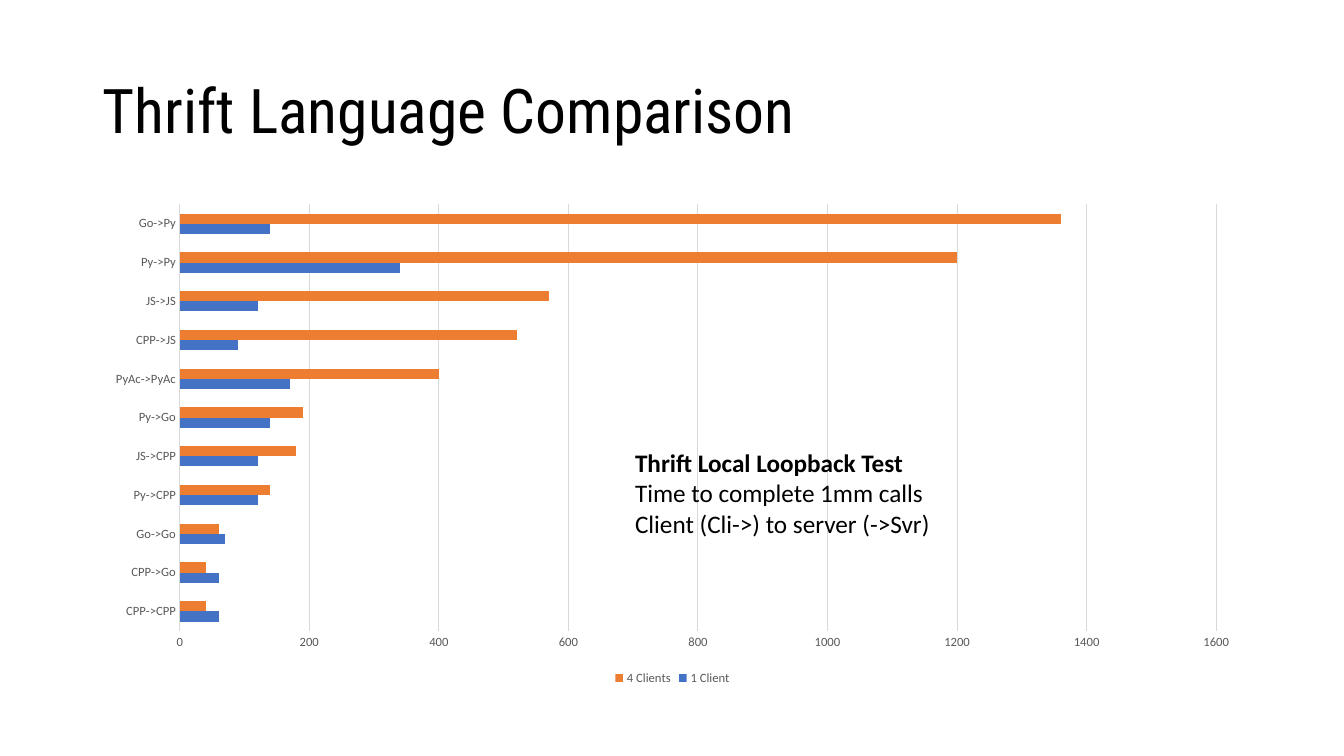
from dataclasses import dataclass

from pptx import Presentation
from pptx.chart import data
from pptx.dml.color import RGBColor
from pptx.enum import chart as ch, text
from pptx.util import Inches, Pt

BLACK = RGBColor(0x00, 0x00, 0x00)
GREY = RGBColor(0x59, 0x59, 0x59)
PALE = RGBColor(0xD9, 0xD9, 0xD9)
BLUE = RGBColor(0x44, 0x72, 0xC4)
ORANGE = RGBColor(0xED, 0x7D, 0x31)
HEAD = "Roboto Condensed"
BODY = "Calibri"


@dataclass(frozen=True)
class Series:
    name: str
    color: RGBColor
    vals: tuple[int, ...]


PAIRS = ("CPP->CPP", "CPP->Go", "Go->Go", "Py->CPP", "JS->CPP", "Py->Go",
         "PyAc->PyAc", "CPP->JS", "JS->JS", "Py->Py", "Go->Py")
TIMES = (
    Series("1 Client", BLUE,
           (60, 60, 70, 120, 120, 140, 170, 90, 120, 340, 140)),
    Series("4 Clients", ORANGE,
           (40, 40, 60, 140, 180, 190, 400, 520, 570, 1200, 1360)),
)


def style(font, size: float, color: RGBColor, name: str = BODY,
          bold: bool = False) -> None:
    font.size = Pt(size)
    font.name = name
    font.bold = bold
    font.color.rgb = color


def rule(line) -> None:
    """Give an axis or grid line its thin pale stroke."""
    line.color.rgb = PALE
    line.width = Pt(0.75)


def add_title(slide) -> None:
    title = slide.shapes.title
    title.left, title.top = Inches(0.92), Inches(0.4)
    title.width, title.height = Inches(11.5), Inches(1.45)
    frame = title.text_frame
    frame.vertical_anchor = text.MSO_ANCHOR.MIDDLE
    para = frame.paragraphs[0]
    para.alignment = text.PP_ALIGN.LEFT
    para.line_spacing = 0.9
    run = para.add_run()
    run.text = "Thrift Language Comparison"
    style(run.font, 44, BLACK, HEAD)


def add_bars(slide) -> None:
    table = data.CategoryChartData()
    table.categories = PAIRS
    for item in TIMES:
        table.add_series(item.name, item.vals)
    chart = slide.shapes.add_chart(
        ch.XL_CHART_TYPE.BAR_CLUSTERED, Inches(0.92), Inches(1.93),
        Inches(11.5), Inches(4.91), table).chart
    style(chart.font, 10, BLACK)
    chart.has_title = False

    plot = chart.plots[0]
    plot.gap_width = 182
    plot.vary_by_categories = False
    for bars, item in zip(plot.series, TIMES):
        bars.format.fill.solid()
        bars.format.fill.fore_color.rgb = item.color

    for axis in (chart.category_axis, chart.value_axis):
        axis.major_tick_mark = axis.minor_tick_mark = ch.XL_TICK_MARK.NONE
        style(axis.tick_labels.font, 9, GREY)
    rule(chart.category_axis.format.line)
    chart.category_axis.has_major_gridlines = False
    scale = chart.value_axis
    scale.minimum_scale, scale.maximum_scale = 0, 1600
    scale.major_unit = 200
    scale.format.line.fill.background()
    scale.has_major_gridlines = True
    rule(scale.major_gridlines.format.line)

    chart.has_legend = True
    chart.legend.position = ch.XL_LEGEND_POSITION.BOTTOM
    chart.legend.include_in_layout = False
    style(chart.legend.font, 9, GREY)


def add_note(slide) -> None:
    frame = slide.shapes.add_textbox(
        Inches(6.2), Inches(4.39), Inches(4.31), Inches(1.01)).text_frame
    frame.word_wrap = True
    frame.auto_size = text.MSO_AUTO_SIZE.SHAPE_TO_FIT_TEXT
    top = frame.paragraphs[0]
    run = top.add_run()
    run.text = "Thrift Local Loopback Test"
    style(run.font, 18, BLACK, bold=True)
    para = frame.add_paragraph()
    lines = ("Time to complete 1mm calls ", "Client (Cli->) to server (->Svr)")
    for i, words in enumerate(lines):
        if i:
            para.add_line_break()
        run = para.add_run()
        run.text = words
        style(run.font, 18, BLACK)


def main() -> None:
    deck = Presentation()
    deck.slide_width, deck.slide_height = Inches(13.33), Inches(7.5)
    slide = deck.slides.add_slide(deck.slide_layouts[5])
    add_title(slide)
    add_bars(slide)
    add_note(slide)
    deck.save("out.pptx")


if __name__ == "__main__":
    main()
